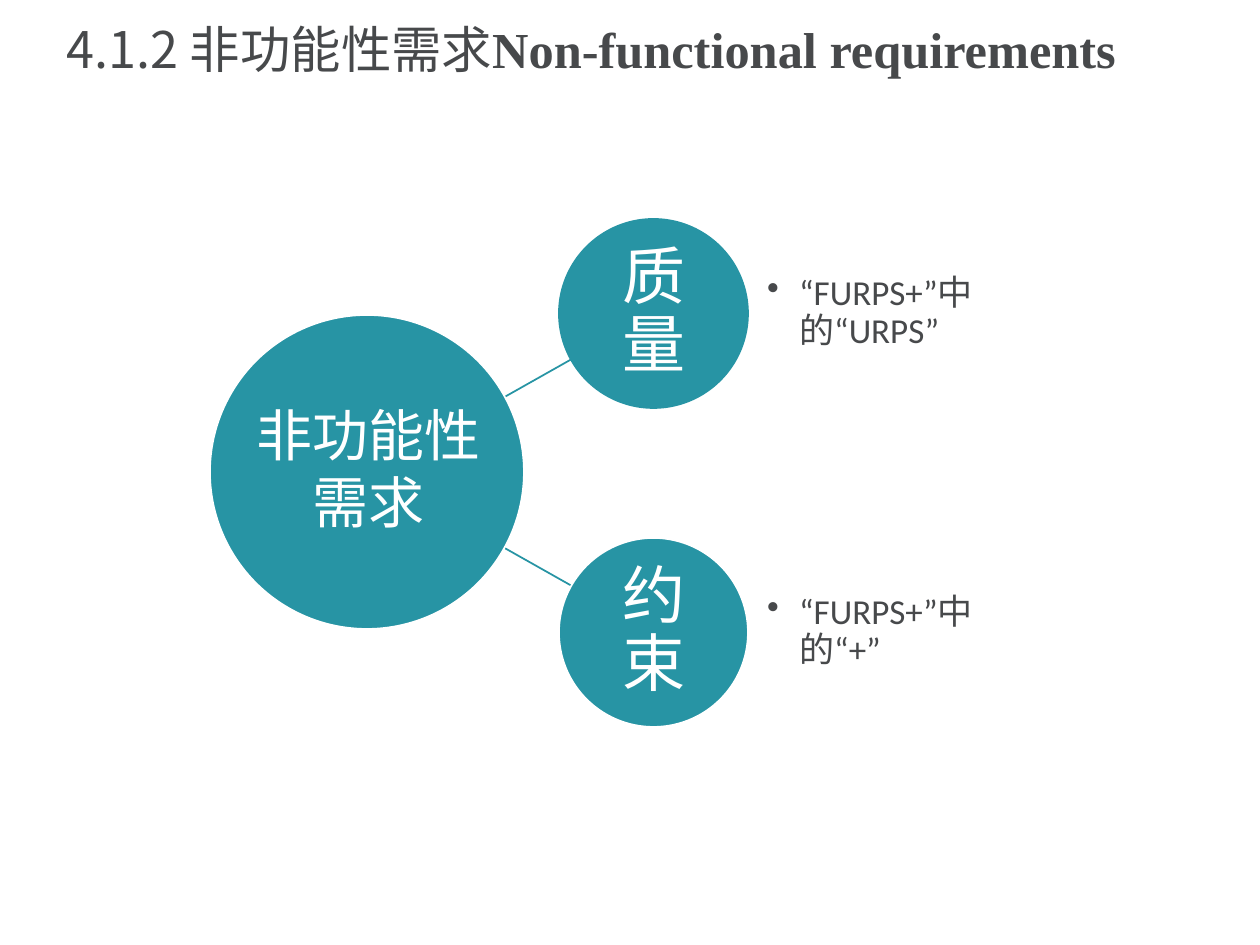
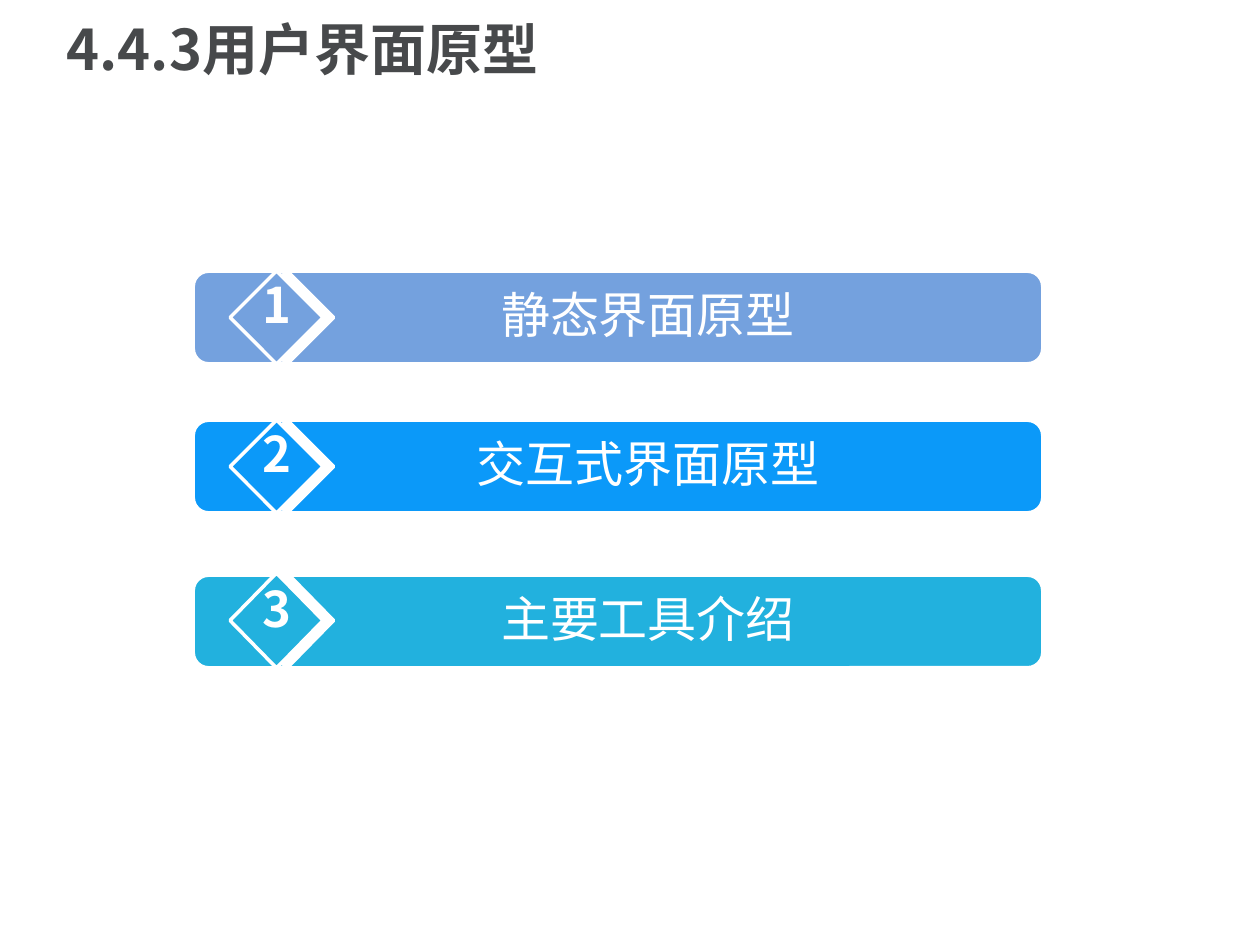
from dataclasses import dataclass

from lxml import etree
from pptx import Presentation
from pptx.dml.color import RGBColor
from pptx.enum.lang import MSO_LANGUAGE_ID
from pptx.enum.shapes import MSO_CONNECTOR, MSO_SHAPE
from pptx.enum.text import MSO_ANCHOR, MSO_AUTO_SIZE, PP_ALIGN
from pptx.oxml.ns import qn
from pptx.util import Emu, Pt

PX_PER_INCH = 126
EMU_PER_PX = 914400 / PX_PER_INCH
EMU_PER_PT = 12700

OVAL, DIAMOND, BAR = MSO_SHAPE.OVAL, MSO_SHAPE.DIAMOND, MSO_SHAPE.ROUNDED_RECTANGLE
STRAIGHT = MSO_CONNECTOR.STRAIGHT
CHINESE = MSO_LANGUAGE_ID.SIMPLIFIED_CHINESE
TOP, MIDDLE = MSO_ANCHOR.TOP, MSO_ANCHOR.MIDDLE
LEFT, CENTER = PP_ALIGN.LEFT, PP_ALIGN.CENTER
FIXED, GROW = MSO_AUTO_SIZE.NONE, MSO_AUTO_SIZE.SHAPE_TO_FIT_TEXT

WHITE, INK, TEAL = "FFFFFF", "47494B", "2794A4"
HEADING_FONT, BODY_FONT = "Noto Sans CJK SC", "Calibri"
ROW_FONT, HUB_FONT = "Noto Sans CJK JP", "DejaVu Sans"


@dataclass(frozen=True)
class Box:
    left: int
    top: int
    width: int
    height: int

    def emu(self):
        return px(self.left), px(self.top), px(self.width), px(self.height)


@dataclass(frozen=True)
class Run:
    text: str
    size: float
    font: str
    color: str = WHITE
    bold: bool = False


@dataclass(frozen=True)
class Shadow:
    opacity: int
    distance: float
    angle: int


@dataclass(frozen=True)
class Branch:
    """A circle joined to the hub, with its explanation on the right."""
    name: str
    detail: str
    top: int
    edge: str
    spoke: tuple[int, int]


@dataclass(frozen=True)
class Topic:
    name: str
    color: str
    top: int
    diamond_rise: int = 0


BAR_SHADOW = Shadow(50, 5.7, 45)
DIAMOND_SHADOW = Shadow(100, 6, 0)

BRANCHES = (
    Branch("质量", "“FURPS+”中的“URPS”", 219, TEAL, (412, 359)),
    Branch("约束", "“FURPS+”中的“+”", 538, WHITE, (533, 586)),
)
TOPICS = (
    Topic("静态界面原型", "74A1DE", 271),
    Topic("交互式界面原型", "0B99F9", 420),
    Topic("主要工具介绍", "22B1DE", 575, 2),
)


def px(length: int) -> Emu:
    return Emu(round(length * EMU_PER_PX))


def rgb(color: str) -> RGBColor:
    return RGBColor.from_string(color)


def add_run(paragraph, spec_run: Run) -> None:
    run = paragraph.add_run()
    run.text = spec_run.text
    font = run.font
    font.size, font.bold, font.name = Pt(spec_run.size), spec_run.bold, spec_run.font
    font.color.rgb = rgb(spec_run.color)
    font.language_id = CHINESE
    east_asian = etree.Element(qn("a:ea"), typeface=spec_run.font)
    run._r.rPr.find(qn("a:latin")).addnext(east_asian)


def set_frame(frame, anchor, inset: int | None, fit, wrap: bool = True) -> None:
    frame.word_wrap, frame.auto_size, frame.vertical_anchor = wrap, fit, anchor
    if inset is not None:
        frame.margin_left = frame.margin_right = px(inset)
        frame.margin_top = frame.margin_bottom = px(inset)


def add_text(slide, box: Box, runs: list[Run], anchor=TOP, inset: int | None = None,
             fit=GROW, wrap: bool = True, spacing: float = 1.0, bullet: bool = False) -> None:
    """Add a text box with one paragraph for each run."""
    frame = slide.shapes.add_textbox(*box.emu()).text_frame
    set_frame(frame, anchor, inset, fit, wrap)
    for index, run in enumerate(runs):
        paragraph = frame.add_paragraph() if index else frame.paragraphs[0]
        paragraph.alignment = LEFT if bullet else CENTER
        paragraph.line_spacing = spacing
        if bullet:
            add_bullet(paragraph)
        add_run(paragraph, run)


def add_bullet(paragraph) -> None:
    properties = paragraph._p.get_or_add_pPr()
    indent = px(32)
    properties.set("marL", str(indent))
    properties.set("indent", str(-indent))
    etree.SubElement(properties, qn("a:buChar"), char="•")


def add_title(slide, runs: list[Run], space_after: int = 0) -> None:
    title = slide.shapes.title
    title.left, title.top, title.width, title.height = Box(54, 8, 1140, 88).emu()
    set_frame(title.text_frame, MIDDLE, None, FIXED)
    paragraph = title.text_frame.paragraphs[0]
    paragraph.alignment, paragraph.line_spacing = LEFT, 0.9
    paragraph.space_after = Pt(space_after)
    for run in runs:
        add_run(paragraph, run)


def add_filled(slide, preset, box: Box, fill: str, edge: str, edge_width: float,
               shadow: Shadow | None = None):
    shape = slide.shapes.add_shape(preset, *box.emu())
    shape.shadow.inherit = False
    shape.fill.solid()
    shape.fill.fore_color.rgb = rgb(fill)
    shape.line.color.rgb = rgb(edge)
    shape.line.width = Pt(edge_width)
    if shadow:
        cast_white_shadow(shape, shadow)
    return shape


def cast_white_shadow(shape, shadow: Shadow) -> None:
    effects = shape._element.spPr.find(qn("a:effectLst"))
    outer = etree.SubElement(
        effects, qn("a:outerShdw"), blurRad="0",
        dist=str(round(shadow.distance * EMU_PER_PT)),
        dir=str(shadow.angle * 60000), algn="ctr", rotWithShape="0")
    color = etree.SubElement(outer, qn("a:srgbClr"), val=WHITE)
    etree.SubElement(color, qn("a:alpha"), val=str(shadow.opacity * 1000))


def add_spoke(slide, start_y: int, end_y: int) -> None:
    spoke = slide.shapes.add_connector(STRAIGHT, px(478), px(start_y), px(572), px(end_y))
    spoke.line.color.rgb = rgb(TEAL)
    spoke.line.width = Pt(1)
    etree.SubElement(spoke._element.spPr, qn("a:effectLst"))


def add_branch(slide, branch: Branch) -> None:
    diameter, label_inset = 189, 28
    label_side = diameter - 2 * label_inset
    add_filled(slide, OVAL, Box(559, branch.top, diameter, diameter), TEAL, branch.edge, 1)
    add_text(slide, Box(559 + label_inset, branch.top + label_inset, label_side, label_side),
             [Run(branch.name, 36, BODY_FONT)], MIDDLE, 4, FIXED, spacing=0.9)
    add_text(slide, Box(767, branch.top, 282, diameter),
             [Run(branch.detail, 20, BODY_FONT, INK)], MIDDLE, 0, FIXED,
             spacing=0.9, bullet=True)


def add_topic(slide, number: int, topic: Topic) -> None:
    height = 93
    bar = add_filled(slide, BAR, Box(193, topic.top, 850, height),
                     topic.color, WHITE, 2.25, BAR_SHADOW)
    bar.adjustments[0] = 0.167
    rise = topic.diamond_rise
    add_filled(slide, DIAMOND, Box(230, topic.top - rise, height, height + rise),
               topic.color, WHITE, 2, DIAMOND_SHADOW)
    add_text(slide, Box(230, topic.top - 3, height, 72),
             [Run(str(number), 28, ROW_FONT, bold=True)])
    add_text(slide, Box(295, topic.top + 7, 706, 72), [Run(topic.name, 28, ROW_FONT)])


def build_requirements(slide) -> None:
    add_title(slide, [
        Run("4.1.2 非功能性需求", 28.8, HEADING_FONT, INK),
        Run("Non-functional requirements", 28.8, "Times New Roman", INK, True),
    ], space_after=13)
    for branch in BRANCHES:
        add_spoke(slide, *branch.spoke)
    add_filled(slide, OVAL, Box(210, 315, 314, 314), TEAL, WHITE, 1)
    for branch in BRANCHES:
        add_branch(slide, branch)
    add_text(slide, Box(243, 394, 252, 149),
             [Run(line, 32, HUB_FONT) for line in ("非功能性", "需求")], wrap=False)


def build_prototypes(slide) -> None:
    add_title(slide, [Run("4.4.3用户界面原型", 32, HEADING_FONT, INK, True)])
    for number, topic in enumerate(TOPICS, 1):
        add_topic(slide, number, topic)


def main() -> None:
    deck = Presentation()
    deck.slide_width, deck.slide_height = px(1260), px(945)
    title_only = deck.slide_layouts[5]
    for build in (build_requirements, build_prototypes):
        build(deck.slides.add_slide(title_only))
    deck.save("out.pptx")


if __name__ == "__main__":
    main()
